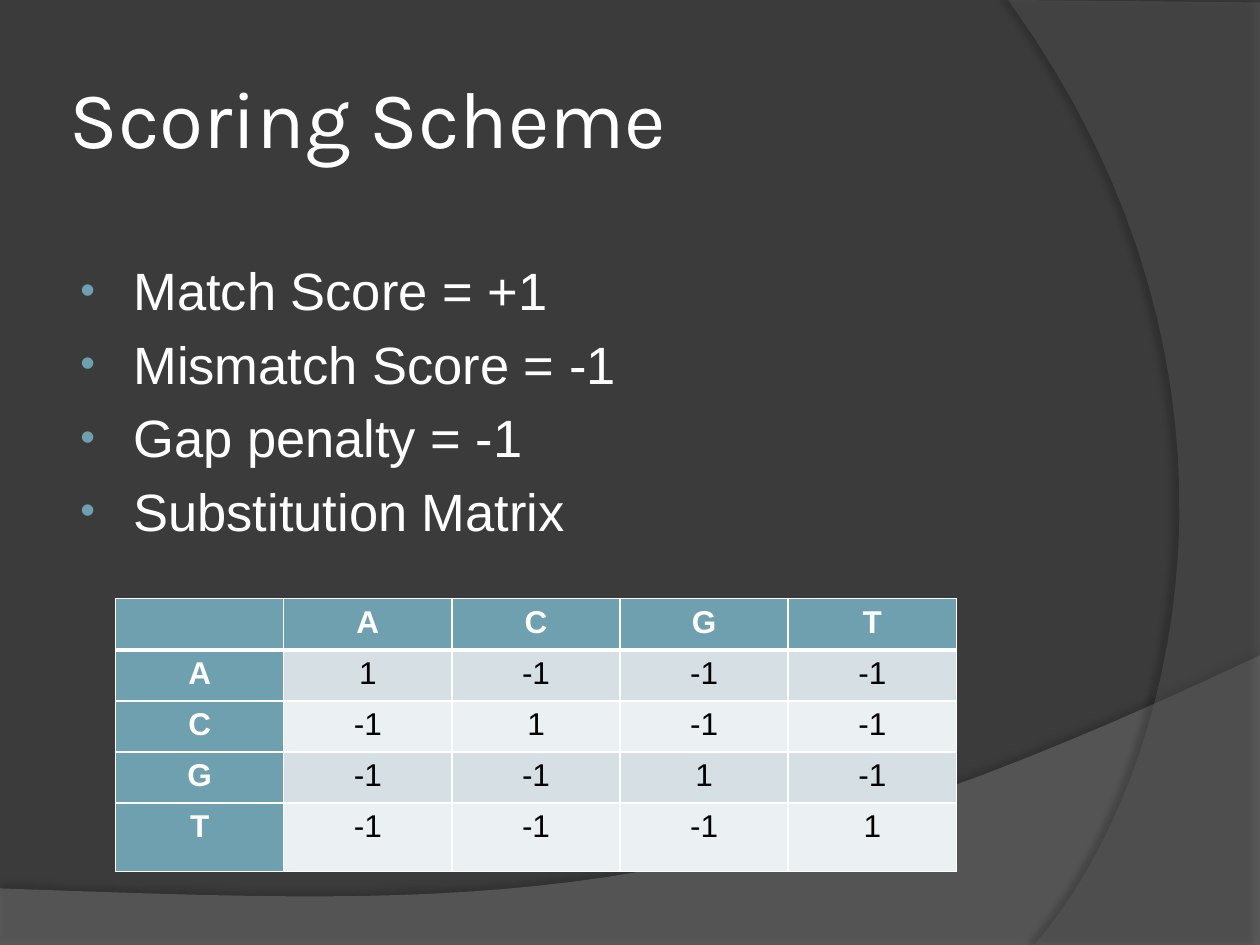
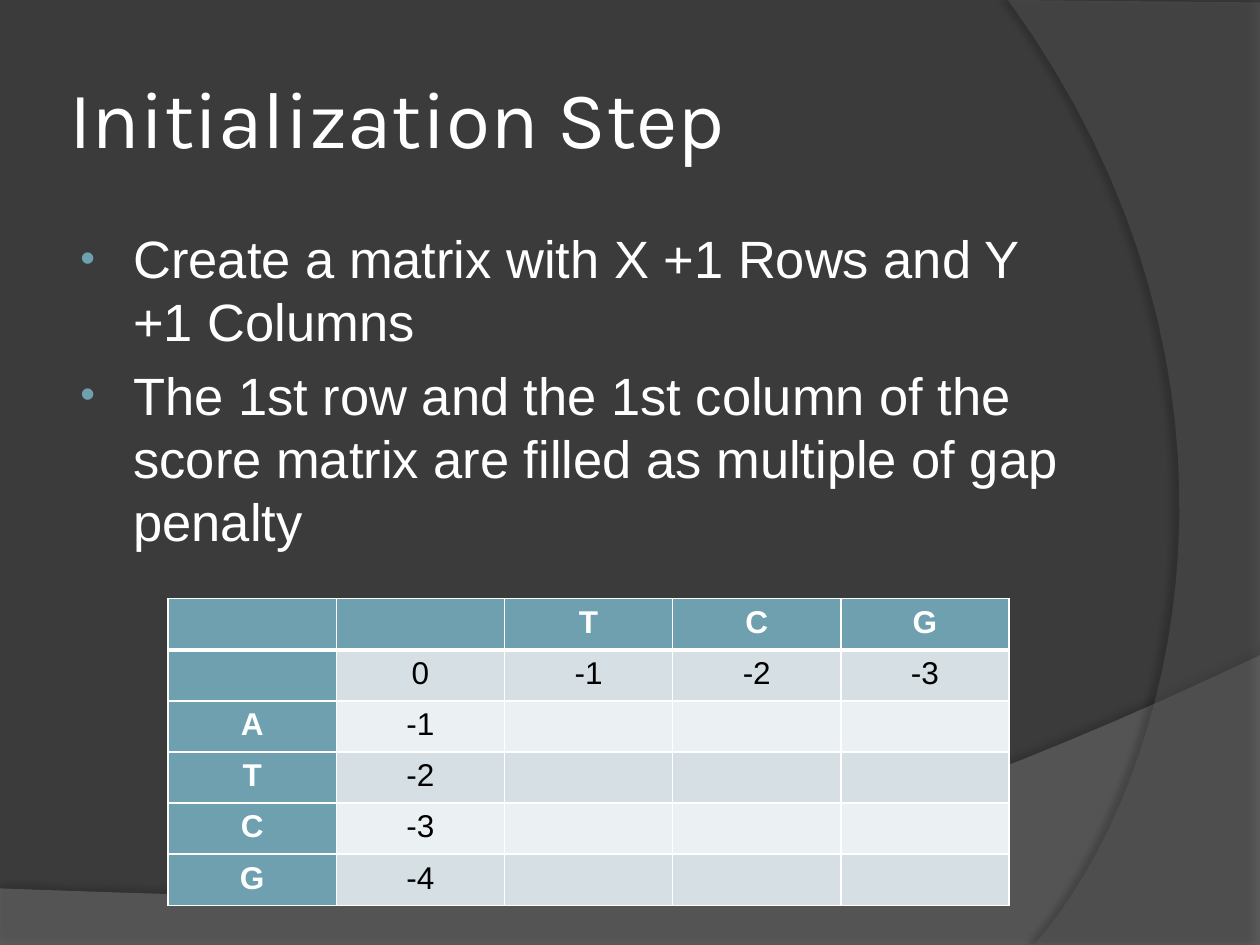
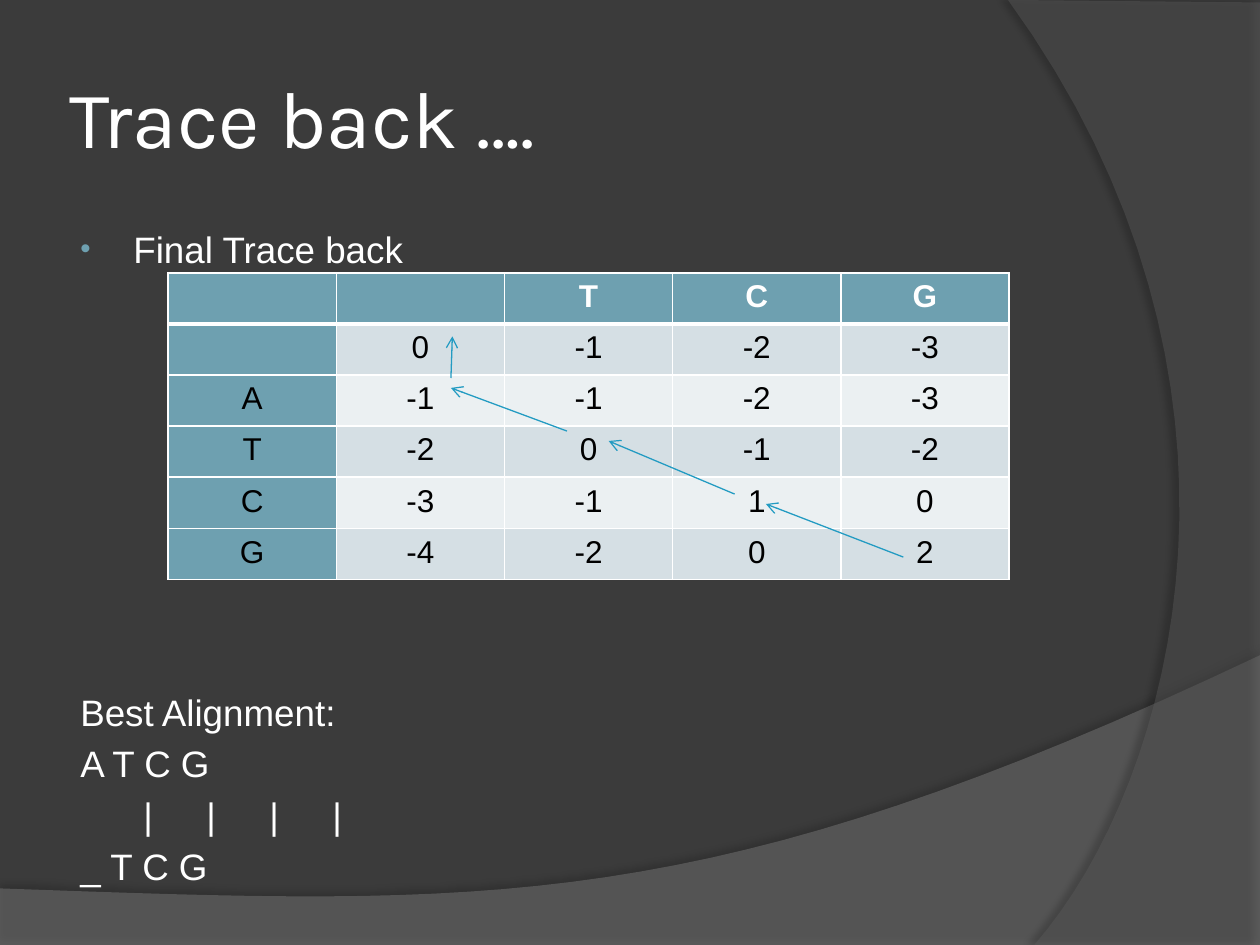
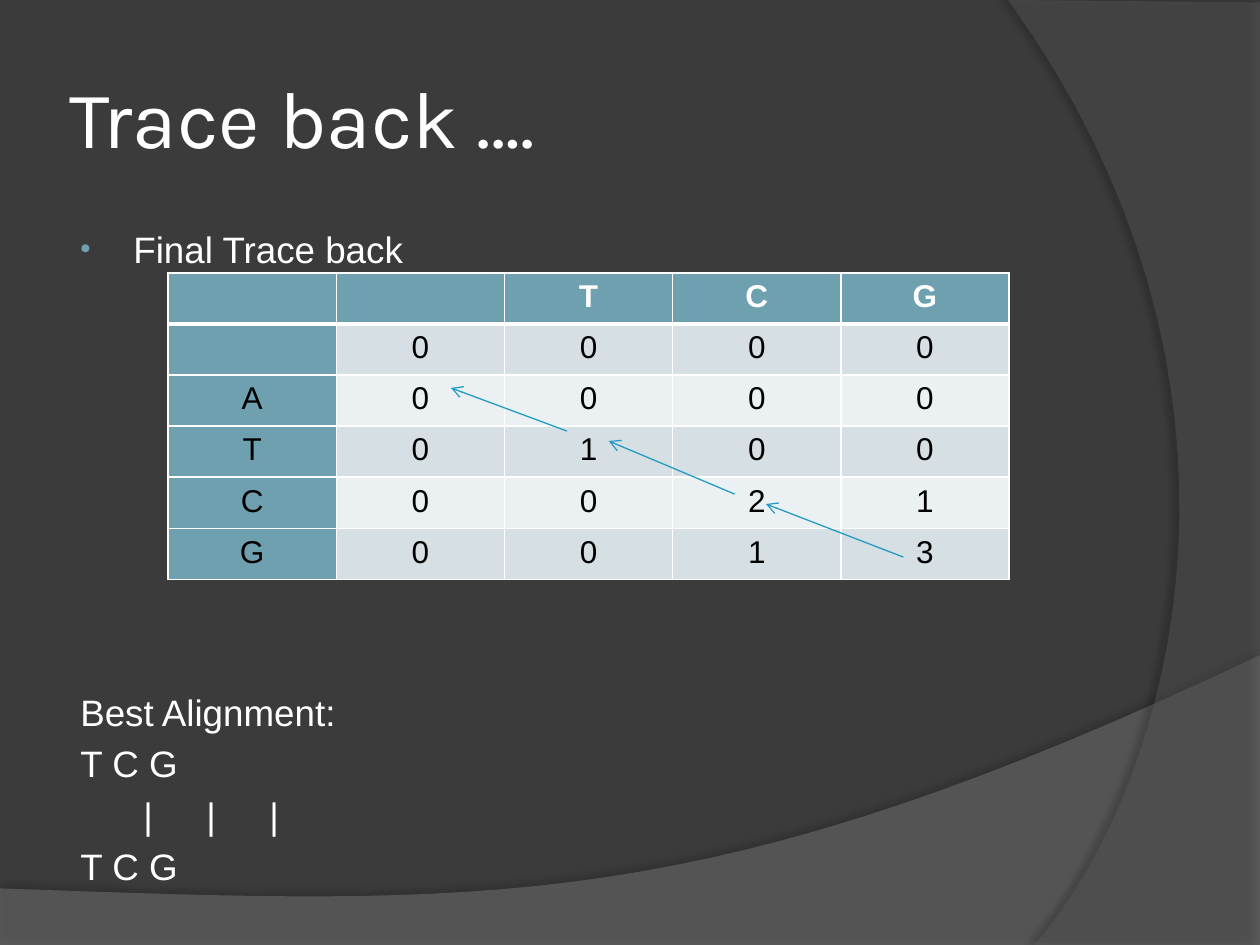
from dataclasses import dataclass

from pptx import Presentation
from pptx.dml.color import RGBColor as Rgb
from pptx.enum.shapes import MSO_CONNECTOR as Connector
from pptx.enum.text import MSO_ANCHOR as Anchor, MSO_AUTO_SIZE as AutoSize, PP_ALIGN as Align
from pptx.oxml import parse_xml
from pptx.oxml.ns import nsdecls, qn
from pptx.util import Cm, Pt

COLORS = {
    "background": "3B3B3B",
    "lower_band": "7F7F7F",
    "side_band": "5E5E5E",
    "light": "FFFFFF",
    "dark": "000000",
    "accent": "6EA0B0",
    "odd_row": "D5DFE4",
    "even_row": "EBF0F2",
    "trace": "239BC2",
}
TITLE_FONT, BODY_FONT = "Karla", "Arial"
TITLE_SIZE, CELL_SIZE = 46, 18
LINE_FACTOR, GAP_FACTOR = 1.2, 0.2
COLUMN_WIDTH, ROW_HEIGHT = 3.39, 1.03
CURVE_STEPS = 32

Point = tuple[float, float]
Area = tuple[float, float, float, float]


@dataclass(frozen=True)
class Band:
    color: str
    opacity: int
    corners: tuple[Point, ...]
    curve: tuple[Point, Point, Point]
    shadow_opacity: int
    shadow_distance: float
    shadow_angle: int


@dataclass(frozen=True)
class Line:
    text: str
    bullet: bool = True
    skipped_lines: int = 0
    tabs: tuple[float, ...] = ()


@dataclass(frozen=True)
class Matrix:
    left: float
    top: float
    rows: tuple[str, ...]
    bold_labels: bool = True
    last_height: float = ROW_HEIGHT


@dataclass(frozen=True)
class Arrow:
    start: Point
    end: Point


@dataclass(frozen=True)
class Page:
    title: str
    body_area: Area
    body_size: int
    lines: tuple[Line, ...]
    matrix: Matrix
    arrows: tuple[Arrow, ...] = ()


BANDS = (
    Band("lower_band", 45, ((0, 17.91), (0, 19.05), (25.4, 19.05), (25.4, 13.21)),
         ((14.2, 18.52), (9.93, 18.26), (0, 17.91)), 35, 3.5, 270),
    Band("side_band", 40, ((25.4, 0.05), (25.4, 19.05), (20.85, 19.05)),
         ((23.75, 15.72), (25.86, 7.62), (20.32, 0)), 45, 4, 180),
)
BODY_AREA = (1.27, 4.44, 20.75, 12.57)
DIAGONAL_TRACE = (
    Arrow((18.21, 11.23), (15.44, 10.16)),
    Arrow((14.81, 9.96), (12.27, 8.89)),
    Arrow((11.43, 8.69), (9.09, 7.82)),
)


def alignment_lines(first: str, second: str, bar_stops: tuple[float, ...]) -> tuple[Line, ...]:
    return (
        Line("Final Trace back"),
        Line("Best Alignment:", bullet=False, skipped_lines=8),
        Line(first, bullet=False),
        Line("\t|" * len(bar_stops), bullet=False, tabs=bar_stops),
        Line(second, bullet=False),
    )


PAGES = (
    Page(
        "Scoring Scheme", (1.27, 5.08, 22.86, 12.7), 30,
        (Line("Match Score = +1"), Line("Mismatch Score = -1"),
         Line("Gap penalty = -1"), Line("Substitution Matrix")),
        Matrix(2.33, 12.07, (
            ",A,C,G,T",
            "A,1,-1,-1,-1",
            "C,-1,1,-1,-1",
            "G,-1,-1,1,-1",
            "T,-1,-1,-1,1",
        ), last_height=1.38),
    ),
    Page(
        "Initialization Step", BODY_AREA, 30,
        (Line("Create a matrix with X +1 Rows and Y +1 Columns"),
         Line("The 1st row and the 1st column of the score matrix are filled "
              "as multiple of gap penalty")),
        Matrix(3.39, 12.07, (
            ",,T,C,G",
            ",0,-1,-2,-3",
            "A,-1,,,",
            "T,-2,,,",
            "C,-3,,,",
            "G,-4,,,",
        )),
    ),
    Page(
        "Trace back ….", BODY_AREA, 21,
        alignment_lines("A T C G", "_ T C G", (0.3, 0.89, 1.5, 2.31)),
        Matrix(3.39, 5.5, (
            ",,T,C,G",
            ",0,-1,-2,-3",
            "A,-1,-1,-2,-3",
            "T,-2,0,-1,-2",
            "C,-3,-1,1,0",
            "G,-4,-2,0,2",
        ), bold_labels=False),
        DIAGONAL_TRACE + (Arrow((9.09, 7.62), (9.12, 6.78)),),
    ),
    Page(
        "Trace back ….", BODY_AREA, 21,
        alignment_lines("T C G", "T C G", (0.3, 0.89, 1.7)),
        Matrix(3.39, 5.5, (
            ",,T,C,G",
            ",0,0,0,0",
            "A,0,0,0,0",
            "T,0,1,0,0",
            "C,0,0,2,1",
            "G,0,0,1,3",
        ), bold_labels=False),
        DIAGONAL_TRACE,
    ),
)


def rgb(name: str) -> Rgb:
    return Rgb.from_string(COLORS[name])


def xml(markup: str):
    tag, rest = markup[:-2].split(" ", 1) if markup.endswith("/>") else markup.split(" ", 1)
    tail = "/>" if markup.endswith("/>") else ""
    return parse_xml(f"{tag} {nsdecls('a')} {rest}{tail}")


def style_runs(paragraph, font_name: str, size: int, color: str, bold: bool = False) -> None:
    for run in paragraph.runs:
        run.font.name = font_name
        run.font.size = Pt(size)
        run.font.bold = bold
        run.font.color.rgb = rgb(color)


def place(shape, area: Area) -> None:
    shape.left, shape.top, shape.width, shape.height = (Cm(length) for length in area)


def curve_points(start: Point, curve: tuple[Point, Point, Point]) -> list[Point]:
    anchors = (start, *curve)
    points = []
    for step in range(1, CURVE_STEPS + 1):
        t = step / CURVE_STEPS
        weights = ((1 - t) ** 3, 3 * t * (1 - t) ** 2, 3 * t ** 2 * (1 - t), t ** 3)
        points.append(tuple(
            sum(weight * anchor[axis] for weight, anchor in zip(weights, anchors))
            for axis in (0, 1)
        ))
    return points


def draw_band(slide, band: Band):
    points = [*band.corners, *curve_points(band.corners[-1], band.curve)]
    outline = [(Cm(x), Cm(y)) for x, y in points]
    builder = slide.shapes.build_freeform(*outline[0])
    builder.add_line_segments(outline[1:], close=True)
    shape = builder.convert_to_shape()
    shape.fill.solid()
    shape.fill.fore_color.rgb = rgb(band.color)
    shape.line.fill.background()
    shape.shadow.inherit = False
    properties = shape.element.spPr
    color = properties.find(f"{qn('a:solidFill')}/{qn('a:srgbClr')}")
    color.append(xml(f'<a:alpha val="{band.opacity * 1000}"/>'))
    properties.find(qn("a:effectLst")).append(xml(
        f'<a:outerShdw blurRad="{Pt(4)}" dist="{Pt(band.shadow_distance)}" '
        f'dir="{band.shadow_angle * 60000}" algn="ctr" rotWithShape="0">'
        f'<a:srgbClr val="{COLORS["dark"]}"><a:alpha val="{band.shadow_opacity * 1000}"/>'
        "</a:srgbClr></a:outerShdw>"
    ))
    return shape


def prepare_layout(layout) -> None:
    layout.background.fill.solid()
    layout.background.fill.fore_color.rgb = rgb("background")
    for placeholder in list(layout.placeholders):
        if placeholder.placeholder_format.idx != 0:
            layout.shapes.element.remove(placeholder.element)


def draw_title(slide, text: str) -> None:
    title = slide.shapes.title
    place(title, (1.27, 0.76, 20.75, 3.18))
    frame = title.text_frame
    frame.text = text
    frame.word_wrap = True
    frame.auto_size = AutoSize.NONE
    frame.vertical_anchor = Anchor.MIDDLE
    frame.margin_left = frame.margin_right = Cm(0.13)
    frame.margin_top = frame.margin_bottom = Cm(0.13)
    frame.paragraphs[0].alignment = Align.LEFT
    style_runs(frame.paragraphs[0], TITLE_FONT, TITLE_SIZE, "light")


def draw_body(slide, page: Page) -> None:
    frame = slide.shapes.add_textbox(*(Cm(length) for length in page.body_area)).text_frame
    frame.word_wrap = True
    frame.text = "\n".join(line.text for line in page.lines)
    size = page.body_size
    for index, (line, paragraph) in enumerate(zip(page.lines, frame.paragraphs)):
        properties = paragraph._p.get_or_add_pPr()
        if line.bullet:
            properties.set("marL", str(Cm(1.17)))
            properties.set("indent", str(Cm(-1.07)))
            properties.append(xml(
                f'<a:buClr ><a:srgbClr val="{COLORS["accent"]}"/></a:buClr>'))
            properties.append(xml('<a:buSzPct val="80000"/>'))
            properties.append(xml(f'<a:buFont typeface="{BODY_FONT}"/>'))
            properties.append(xml('<a:buChar char="•"/>'))
        else:
            properties.set("marL", str(Cm(0.1)))
            properties.set("indent", "0")
        if line.tabs:
            stops = "".join(f'<a:tab pos="{Cm(stop)}" algn="l"/>' for stop in line.tabs)
            properties.append(xml(f"<a:tabLst >{stops}</a:tabLst>"))
        paragraph.line_spacing = Pt(size * LINE_FACTOR)
        if index:
            skipped = line.skipped_lines * (LINE_FACTOR + GAP_FACTOR)
            paragraph.space_before = Pt(size * (GAP_FACTOR + skipped))
        style_runs(paragraph, BODY_FONT, size, "light")


def set_borders(cell, row: int) -> None:
    widths = {"L": 1, "R": 1, "T": 3 if row == 1 else 1, "B": 3 if row == 0 else 1}
    properties = cell._tc.get_or_add_tcPr()
    for side, width in widths.items():
        properties.append(xml(
            f'<a:ln{side} w="{Pt(width)}"><a:solidFill>'
            f'<a:srgbClr val="{COLORS["light"]}"/></a:solidFill></a:ln{side}>'
        ))


def draw_matrix(slide, matrix: Matrix) -> None:
    rows = [row.split(",") for row in matrix.rows]
    heights = [ROW_HEIGHT] * (len(rows) - 1) + [matrix.last_height]
    table = slide.shapes.add_table(
        len(rows), len(rows[0]), Cm(matrix.left), Cm(matrix.top),
        Cm(COLUMN_WIDTH * len(rows[0])), Cm(sum(heights)),
    ).table
    table.horz_banding = False
    for column in table.columns:
        column.width = Cm(COLUMN_WIDTH)
    for r, values in enumerate(rows):
        table.rows[r].height = Cm(heights[r])
        row_fill = "odd_row" if r % 2 else "even_row"
        for c, value in enumerate(values):
            cell = table.cell(r, c)
            set_borders(cell, r)
            cell.fill.solid()
            cell.fill.fore_color.rgb = rgb("accent" if r == 0 or c == 0 else row_fill)
            cell.text_frame.text = value
            paragraph = cell.text_frame.paragraphs[0]
            paragraph.alignment = Align.CENTER
            strong = r == 0 or (c == 0 and matrix.bold_labels)
            style_runs(paragraph, BODY_FONT, CELL_SIZE, "light" if strong else "dark", strong)


def draw_arrow(slide, arrow: Arrow) -> None:
    ends = (Cm(length) for length in (*arrow.start, *arrow.end))
    connector = slide.shapes.add_connector(Connector.STRAIGHT, *ends)
    connector.line.color.rgb = rgb("trace")
    connector.line.width = Pt(0.75)
    properties = connector.element.spPr
    properties.find(qn("a:ln")).append(xml('<a:tailEnd type="arrow"/>'))
    properties.append(xml("<a:effectLst />"))


def main() -> None:
    deck = Presentation()
    deck.slide_width, deck.slide_height = Cm(25.4), Cm(19.05)
    layout = deck.slide_layouts.get_by_name("Title Only")
    prepare_layout(layout)
    slides = [deck.slides.add_slide(layout) for _ in PAGES]
    for band in BANDS:
        layout.shapes.element.append(draw_band(slides[0], band).element)
    for slide, page in zip(slides, PAGES):
        draw_title(slide, page.title)
        draw_body(slide, page)
        draw_matrix(slide, page.matrix)
        for arrow in page.arrows:
            draw_arrow(slide, arrow)
    deck.save("out.pptx")


if __name__ == "__main__":
    main()
